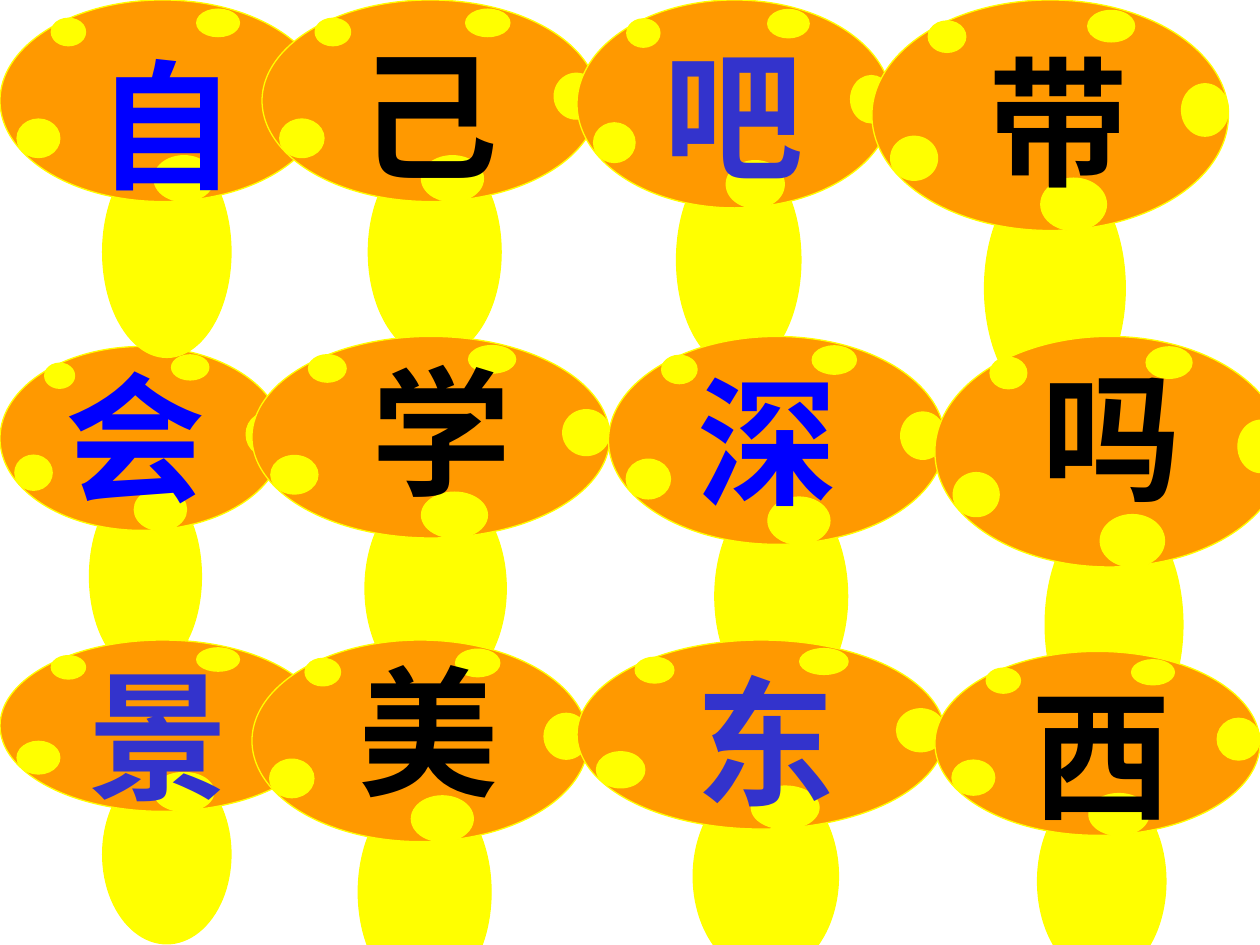
from dataclasses import dataclass

from lxml import etree
from pptx import Presentation
from pptx.dml.color import RGBColor
from pptx.enum.shapes import MSO_SHAPE
from pptx.enum.text import MSO_ANCHOR, MSO_AUTO_SIZE
from pptx.oxml.ns import qn
from pptx.shapes.group import GroupShape
from pptx.slide import Slide
from pptx.util import Inches, Pt

ELLIPSE = MSO_SHAPE.OVAL
MIDDLE = MSO_ANCHOR.MIDDLE
NO_AUTOFIT = MSO_AUTO_SIZE.NONE

YELLOW, ORANGE = "FFFF00", "FF9900"
BLUE, INDIGO, BLACK = "0000FF", "3333CC", "000000"
SANS, SERIF = "Noto Sans CJK SC", "Times New Roman"
LABEL_WIDTH, LABEL_HEIGHT = 1.31, 1.44
LABEL_FORMAT = {"size": Pt(80), "bold": True}

# Each cap is divided into a grid of columns and rows.
CAP_COLUMNS, CAP_ROWS = 19, 22


@dataclass(frozen=True)
class Part:
    """An ellipse of the mushroom, in grid units of the cap."""
    left: float
    top: float
    width: float
    height: float
    color: str = YELLOW


@dataclass(frozen=True)
class Mushroom:
    """A cap position and size with its character, in inches."""
    left: float
    top: float
    width: float
    height: float
    character: str
    label_left: float
    label_top: float
    color: str
    font_name: str = SANS


PARTS = (
    Part(6, 16, 7.5, 23),
    Part(0, 0, CAP_COLUMNS, CAP_ROWS, ORANGE),
    Part(11.5, 1, 2.5, 3),
    Part(3, 2, 2, 3),
    Part(1, 13, 2.5, 4.2),
    Part(16.5, 8, 2.5, 5),
    Part(9, 17, 3.5, 5),
)

MUSHROOMS = (
    Mushroom(0, 2.75, 2.25, 1.46, "会", 0.42, 2.74, BLUE, SERIF),
    Mushroom(0, 0, 2.58, 1.6, "自", 0.67, 0.25, BLUE, SERIF),
    Mushroom(2.08, 0, 2.67, 1.6, "己", 2.75, 0.17, BLACK),
    Mushroom(4.58, 0, 2.5, 1.65, "吧", 5.17, 0.17, INDIGO, SERIF),
    Mushroom(6.92, 0, 2.83, 1.83, "带", 7.75, 0.23, BLACK),
    Mushroom(2, 2.67, 2.84, 1.6, "学", 2.85, 2.69, BLACK),
    Mushroom(4.83, 2.67, 2.67, 1.65, "深", 5.44, 2.77, BLUE, SERIF),
    Mushroom(7.42, 2.67, 2.77, 1.83, "吗", 8.17, 2.73, BLACK),
    Mushroom(0, 5.08, 2.58, 1.36, "景", 0.6, 5.1, INDIGO),
    Mushroom(2, 5.08, 2.67, 1.6, "美", 2.75, 5.07, BLACK),
    Mushroom(4.58, 5.08, 2.92, 1.5, "东", 5.42, 5.15, INDIGO),
    Mushroom(7.42, 5.17, 2.58, 1.46, "西", 8.09, 5.25, BLACK),
)


def rgb(color: str) -> RGBColor:
    return RGBColor.from_string(color)


def draw_mushroom(group: GroupShape, mushroom: Mushroom) -> None:
    column = mushroom.width / CAP_COLUMNS
    row = mushroom.height / CAP_ROWS
    for part in PARTS:
        shape = group.shapes.add_shape(
            ELLIPSE,
            Inches(mushroom.left + part.left * column),
            Inches(mushroom.top + part.top * row),
            Inches(part.width * column),
            Inches(part.height * row),
        )
        shape.shadow.inherit = False
        shape.fill.solid()
        shape.fill.fore_color.rgb = rgb(part.color)
        shape.line.color.rgb = rgb(YELLOW)
        shape.line.width = Pt(0.75)


def draw_label(slide: Slide, mushroom: Mushroom) -> None:
    box = slide.shapes.add_textbox(
        Inches(mushroom.label_left), Inches(mushroom.label_top),
        Inches(LABEL_WIDTH), Inches(LABEL_HEIGHT),
    )
    frame = box.text_frame
    frame.word_wrap = False
    frame.auto_size = NO_AUTOFIT
    frame.vertical_anchor = MIDDLE
    run = frame.paragraphs[0].add_run()
    run.text = mushroom.character
    for name, value in LABEL_FORMAT.items():
        setattr(run.font, name, value)
    run.font.color.rgb = rgb(mushroom.color)
    run.font.name = mushroom.font_name
    properties = run._r.get_or_add_rPr()
    etree.SubElement(properties, qn("a:ea")).set("typeface", SANS)


def main() -> None:
    presentation = Presentation()
    presentation.slide_width = Inches(10)
    presentation.slide_height = Inches(7.5)
    slide = presentation.slides.add_slide(presentation.slide_layouts[6])
    group = slide.shapes.add_group_shape()
    for mushroom in MUSHROOMS:
        draw_mushroom(group, mushroom)
    for mushroom in MUSHROOMS:
        draw_label(slide, mushroom)
    presentation.save("out.pptx")


if __name__ == "__main__":
    main()
